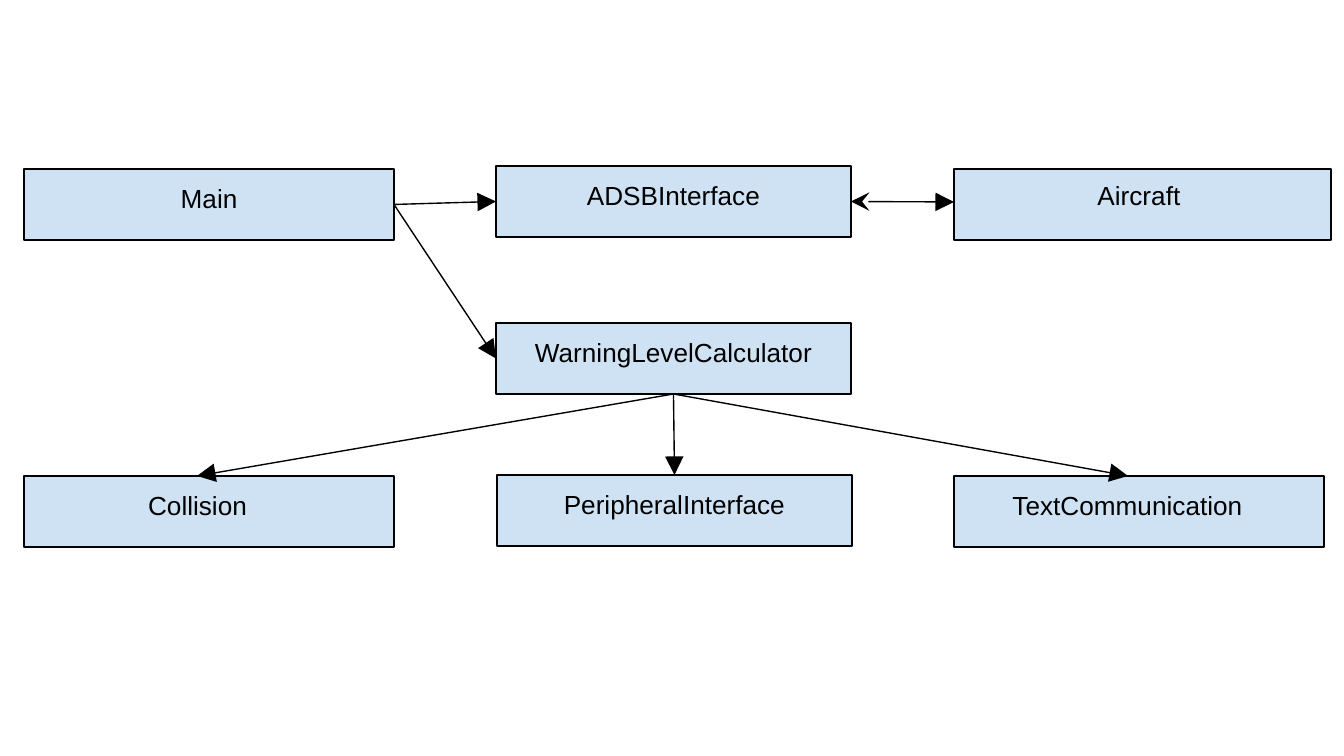
from lxml import etree
from pptx import Presentation, util as u
from pptx.dml.color import RGBColor
from pptx.enum import shapes, text
from pptx.oxml import ns

SCALE = 914400 / 134.4
COLORS = {"box": "CFE2F3", "ink": "000000"}
TOP, LEFT, BOTTOM, RIGHT = range(4)
BOX_HEIGHT = 71
INSET = 13


def px(value):
    """Turn whole pixels into EMU."""
    return u.Emu(round(value * SCALE))


def style_line(line):
    """Give an outline or connector the thin black stroke."""
    line.color.rgb = RGBColor.from_string(COLORS["ink"])
    line.width = u.Pt(0.75)


presentation = Presentation()
presentation.slide_width, presentation.slide_height = px(1344), px(756)
slide = presentation.slides.add_slide(presentation.slide_layouts[6])

# label, left, top, width, top inset, right inset
class_boxes = [
    ("Main", 24, 169, 370, INSET, INSET),
    ("ADSBInterface", 496, 166, 355, INSET, INSET),
    ("Collision", 24, 476, 370, INSET, INSET + 23),
    ("WarningLevelCalculator", 496, 323, 355, INSET, INSET),
    ("Aircraft", 954, 169, 377, INSET - 3, INSET + 7),
    ("TextCommunication", 954, 476, 370, INSET, INSET + 23),
    ("PeripheralInterface", 497, 475, 355, INSET, INSET),
]
boxes = {}
for label, left, top, width, top_inset, right_inset in class_boxes:
    shape = slide.shapes.add_shape(shapes.MSO_SHAPE.RECTANGLE, px(left), px(top),
                                   px(width), px(BOX_HEIGHT))
    shape.shadow.inherit = False
    shape.fill.solid()
    shape.fill.fore_color.rgb = RGBColor.from_string(COLORS["box"])
    style_line(shape.line)
    frame = shape.text_frame
    frame.text = label
    frame.word_wrap = True
    frame.vertical_anchor = text.MSO_ANCHOR.TOP
    frame.margin_left = frame.margin_bottom = px(INSET)
    frame.margin_top, frame.margin_right = px(top_inset), px(right_inset)
    paragraph = frame.paragraphs[0]
    paragraph.alignment = text.PP_ALIGN.CENTER
    font = paragraph.runs[0].font
    font.name, font.size = "Arial", u.Pt(14)
    font.color.rgb = RGBColor.from_string(COLORS["ink"])
    boxes[label] = shape

# start box, its side, end box, its side, end point off the side's middle, arrowheads
one_way = {"tailEnd": "triangle"}
two_way = {"headEnd": "stealth", "tailEnd": "triangle"}
arrows = [
    ("Main", RIGHT, "ADSBInterface", LEFT, None, one_way),
    ("ADSBInterface", RIGHT, "Aircraft", LEFT, (954, 202), two_way),
    ("Main", RIGHT, "WarningLevelCalculator", LEFT, None, one_way),
    ("WarningLevelCalculator", BOTTOM, "Collision", TOP, (197, 476), one_way),
    ("WarningLevelCalculator", BOTTOM, "TextCommunication", TOP, (1128, 476), one_way),
    ("WarningLevelCalculator", BOTTOM, "PeripheralInterface", TOP, None, one_way),
]
for start, start_side, end, end_side, end_point, heads in arrows:
    end_x, end_y = end_point or (0, 0)
    connector = slide.shapes.add_connector(shapes.MSO_CONNECTOR.STRAIGHT, 0, 0,
                                           px(end_x), px(end_y))
    connector.begin_connect(boxes[start], start_side)
    if end_point is None:
        connector.end_connect(boxes[end], end_side)
    style_line(connector.line)
    line_properties = connector.line._get_or_add_ln()
    for tag, kind in heads.items():
        etree.SubElement(line_properties, ns.qn(f"a:{tag}"), type=kind, w="lg", len="lg")
    etree.SubElement(connector._element.spPr, ns.qn("a:effectLst"))

presentation.save("out.pptx")
